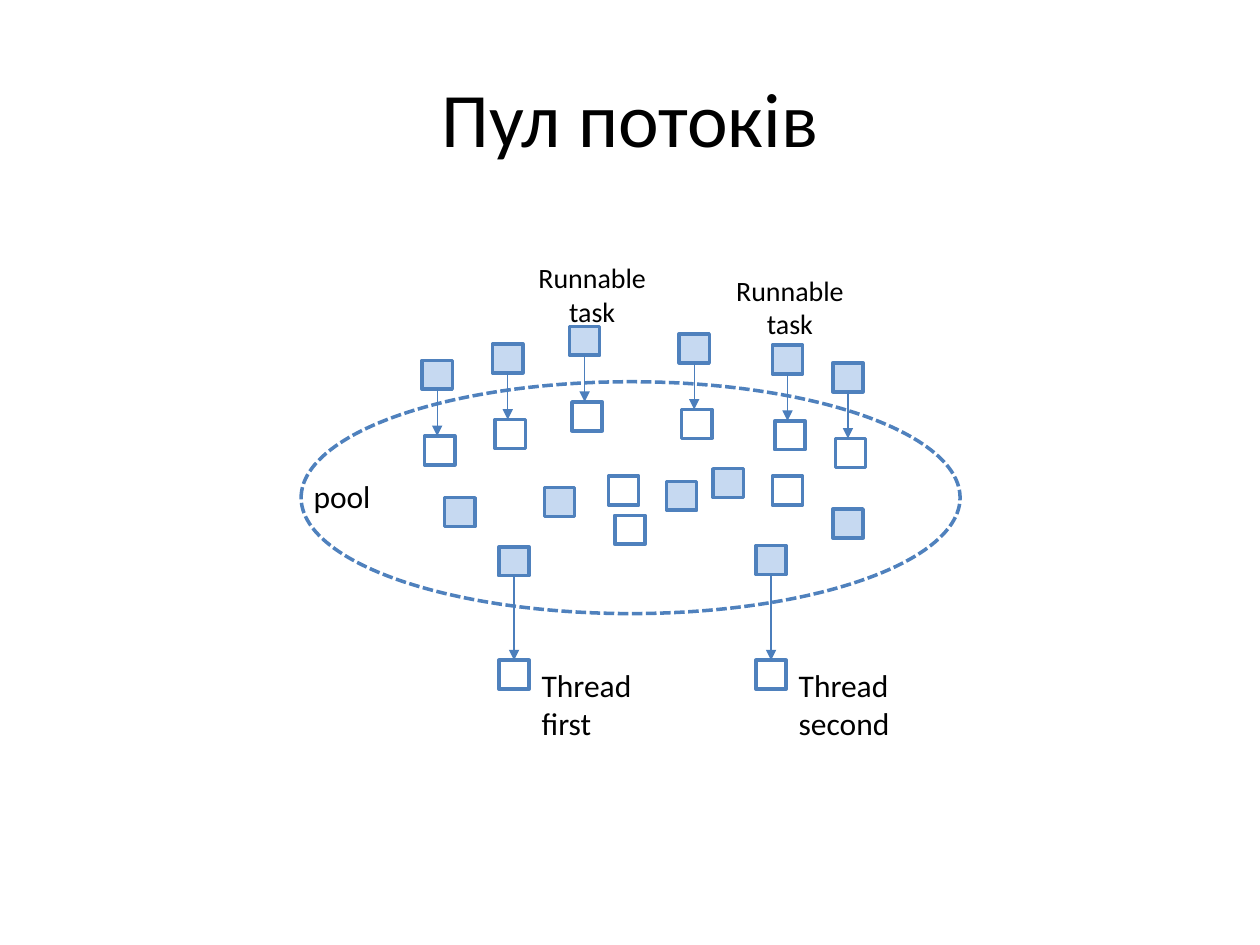
"""Draw a thread pool with its tasks, idle slots and running threads."""
from dataclasses import dataclass

from lxml import etree
from pptx import Presentation
from pptx import util as u
from pptx.dml.color import RGBColor
from pptx.enum import dml, shapes, text
from pptx.oxml.ns import qn


@dataclass(frozen=True)
class Theme:
    font: str = "Calibri"
    ink: str = "000000"
    edge: str = "4F81BD"
    arrow: str = "4B7EBC"
    busy: str = "C6D9F1"
    title: int = 44
    label: int = 18
    note: int = 16


THEME = Theme()
WIDE, HIGH = 0.24, 0.23
SHIFT, DROP = 0.02, 0.6
TASKS = [(3.35, 2.86), (3.91, 2.73), (4.52, 2.59),
         (5.39, 2.65), (6.13, 2.74), (6.61, 2.88)]
BUSY = [(3.53, 3.95), (4.32, 3.87), (5.29, 3.82), (5.66, 3.72), (6.61, 4.04)]
IDLE = [(4.83, 3.78), (4.88, 4.09), (6.13, 3.78)]
THREADS = [(3.96, 4.34, "Thread first"), (6, 4.33, "Thread second")]
THREAD_TOP = 5.24
NOTES = [(4.11, 2.02, 1.18, 0.64), (5.55, 2.12, 1.44, 0.64)]


def apply(item, props):
    for name, value in props.items():
        setattr(item, name, value)


def place(item, box):
    names = ("left", "top", "width", "height")
    apply(item, dict(zip(names, map(u.Inches, box))))


def write(frame, words, size, align):
    frame.text = words
    para = frame.paragraphs[0]
    para.alignment = align
    apply(para.font, {"name": THEME.font, "size": u.Pt(size)})
    para.font.color.rgb = RGBColor.from_string(THEME.ink)


def add_label(slide, box, words, size, align=text.PP_ALIGN.LEFT):
    frame = slide.shapes.add_textbox(*map(u.Inches, box)).text_frame
    apply(frame, {"word_wrap": True,
                  "auto_size": text.MSO_AUTO_SIZE.SHAPE_TO_FIT_TEXT})
    write(frame, words, size, align)


def add_form(slide, kind, box, fill=None):
    form = slide.shapes.add_shape(kind, *map(u.Inches, box))
    form.shadow.inherit = False
    if fill:
        form.fill.solid()
        form.fill.fore_color.rgb = RGBColor.from_string(fill)
    else:
        form.fill.background()
    form.line.color.rgb = RGBColor.from_string(THEME.edge)
    form.line.width = u.Pt(2)
    return form


def add_cell(slide, left, top, fill=None):
    box = (left, top, WIDE, HIGH)
    return add_form(slide, shapes.MSO_SHAPE.RECTANGLE, box, fill)


def add_arrow(slide, start, left, top):
    mid = u.Inches(left + WIDE / 2)
    arrow = slide.shapes.add_connector(
        shapes.MSO_CONNECTOR.STRAIGHT, mid, start.top + start.height,
        mid, u.Inches(top))
    arrow.begin_connect(start, 2)
    arrow.line.color.rgb = RGBColor.from_string(THEME.arrow)
    arrow.line.width = u.Pt(0.75)
    props = arrow._element.spPr
    etree.SubElement(props.find(qn("a:ln")), qn("a:tailEnd"), type="triangle")
    etree.SubElement(props, qn("a:effectLst"))
    return arrow


def add_task(slide, left, top):
    task = add_cell(slide, left, top, THEME.busy)
    add_cell(slide, left + SHIFT, top + DROP)
    add_arrow(slide, task, left, top + DROP)


def add_thread(slide, left, top, words):
    task = add_cell(slide, left, top, THEME.busy)
    thread = add_cell(slide, left, THREAD_TOP)
    add_arrow(slide, task, left, THREAD_TOP).end_connect(thread, 0)
    box = (left + WIDE, THREAD_TOP, 1.09, 0.71)
    add_label(slide, box, words, THEME.label)


def add_title(slide, words):
    title = slide.shapes.title
    place(title, (0.5, 0.3, 9, 1.25))
    title.text_frame.vertical_anchor = text.MSO_ANCHOR.MIDDLE
    write(title.text_frame, words, THEME.title, text.PP_ALIGN.CENTER)


def add_pool(slide):
    pool = add_form(slide, shapes.MSO_SHAPE.OVAL, (2.39, 3.03, 5.23, 1.84))
    pool.line.dash_style = dml.MSO_LINE.SQUARE_DOT
    add_label(slide, (2.39, 3.74, 0.8, 0.4), "pool", THEME.label)


def main():
    deck = Presentation()
    apply(deck, {"slide_width": u.Inches(10), "slide_height": u.Inches(7.5)})
    slide = deck.slides.add_slide(deck.slide_layouts[5])
    add_title(slide, "Пул потоків")
    add_pool(slide)
    for box in NOTES:
        add_label(slide, box, "Runnable task", THEME.note,
                  text.PP_ALIGN.CENTER)
    for spot in TASKS:
        add_task(slide, *spot)
    for spot in BUSY:
        add_cell(slide, *spot, THEME.busy)
    for spot in IDLE:
        add_cell(slide, *spot)
    for thread in THREADS:
        add_thread(slide, *thread)
    deck.save("out.pptx")


if __name__ == "__main__":
    main()
